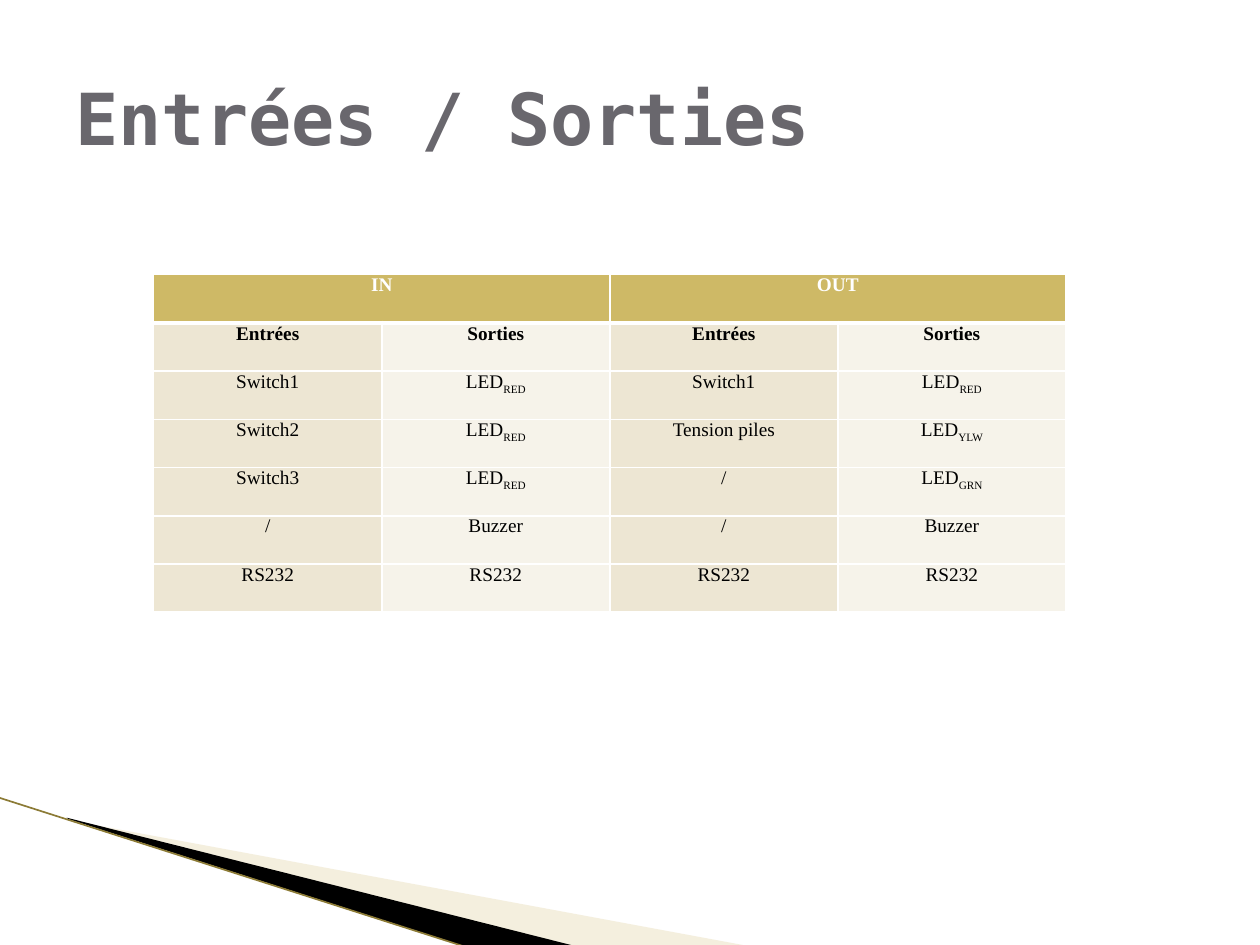
from lxml import etree
from pptx import Presentation
from pptx.dml.color import RGBColor
from pptx.enum.shapes import MSO_CONNECTOR
from pptx.enum.text import MSO_ANCHOR, PP_ALIGN
from pptx.oxml.ns import qn
from pptx.util import Inches, Pt

LEFT, CENTER = PP_ALIGN.LEFT, PP_ALIGN.CENTER
TOP, MIDDLE = MSO_ANCHOR.TOP, MSO_ANCHOR.MIDDLE
STRAIGHT = MSO_CONNECTOR.STRAIGHT

COLORS = {
    "title": "69676D", "header": "CEB966", "inputs": "EDE6D3",
    "outputs": "F6F3EA", "white": "FFFFFF", "black": "000000",
    "pale wedge": "E4D7AD", "edge": "8C7B36",
}
ROWS = [
    ["IN", "", "OUT", ""],
    ["Entrées", "Sorties", "Entrées", "Sorties"],
    ["Switch1", "LED_RED", "Switch1", "LED_RED"],
    ["Switch2", "LED_RED", "Tension piles", "LED_YLW"],
    ["Switch3", "LED_RED", "/", "LED_GRN"],
    ["/", "Buzzer", "/", "Buzzer"],
    ["RS232", "RS232", "RS232", "RS232"],
]


def color(name):
    return RGBColor.from_string(COLORS[name])


def write(frame, text, font="Times New Roman", size=11, fill="black",
          bold=False, align=CENTER):
    """Write one paragraph; the part after an underscore becomes a subscript."""
    paragraph = frame.paragraphs[0]
    paragraph.alignment = align
    for level, part in enumerate(text.split("_")):
        run = paragraph.add_run()
        run.text = part
        run.font.name = font
        run.font.size = Pt(size)
        run.font.bold = bold
        run.font.color.rgb = color(fill)
        if level:
            run.font._element.set("baseline", "-25000")


prs = Presentation()
prs.slide_width, prs.slide_height = Inches(10), Inches(7.5)
slide = prs.slides.add_slide(prs.slide_layouts[5])
shapes = slide.shapes

# Wedges in the lower left corner
wedges = [
    ("pale wedge", 40, [(0.55, 6.51), (5.95, 7.51), (4.56, 7.51), (0.55, 6.5)]),
    ("black", 100, [(0.53, 6.49), (4.57, 7.51), (3.72, 7.52), (0.54, 6.5)]),
]
for fill, opacity, corners in wedges:
    points = [(Inches(x), Inches(y)) for x, y in corners]
    builder = shapes.build_freeform(*points[0])
    builder.add_line_segments(points[1:], close=True)
    wedge = builder.convert_to_shape()
    wedge.shadow.inherit = False
    wedge.fill.solid()
    wedge.fill.fore_color.rgb = color(fill)
    wedge.line.fill.background()
    if opacity < 100:
        tint = wedge._element.spPr.find(qn("a:solidFill"))[0]
        etree.SubElement(tint, qn("a:alpha"), val=str(opacity * 1000))

edge = shapes.add_connector(STRAIGHT, Inches(-0.01), Inches(6.33),
                            Inches(3.71), Inches(7.52))
edge.line.color.rgb = color("edge")
edge.line.width = Pt(0.95)
etree.SubElement(edge._element.spPr, qn("a:effectLst"))

# Title
title = shapes.title
title.left, title.top = Inches(0.5), Inches(0.3)
title.width, title.height = Inches(9), Inches(1.25)
title.text_frame.vertical_anchor = MIDDLE
write(title.text_frame, "Entrées / Sorties", font="DejaVu Sans Mono",
      size=41, fill="title", bold=True, align=LEFT)

# Table of inputs and outputs
table = shapes.add_table(len(ROWS), len(ROWS[0]), Inches(1.22), Inches(2.18),
                         Inches(7.24), Inches(2.68)).table
for first in (0, 2):
    table.cell(0, first).merge(table.cell(0, first + 1))

for r, row in enumerate(ROWS):
    for c, text in enumerate(row):
        cell = table.cell(r, c)
        cell.margin_left = cell.margin_right = Inches(0.07)
        cell.margin_top = cell.margin_bottom = 0
        cell.vertical_anchor = TOP
        cell.fill.solid()
        band = "header" if r == 0 else ("inputs", "outputs")[c % 2]
        cell.fill.fore_color.rgb = color(band)
        if text:
            write(cell.text_frame, text, bold=r < 2,
                  fill="white" if r == 0 else "black")
        borders = {"L": 1, "R": 1, "T": 3 if r == 1 else 1,
                   "B": 3 if r == 0 else 1}
        for position, (side, width) in enumerate(borders.items()):
            border = etree.Element(qn(f"a:ln{side}"), w=str(Pt(width)))
            paint = etree.SubElement(border, qn("a:solidFill"))
            etree.SubElement(paint, qn("a:srgbClr"), val=COLORS["white"])
            cell._tc.tcPr.insert(position, border)

prs.save("out.pptx")
